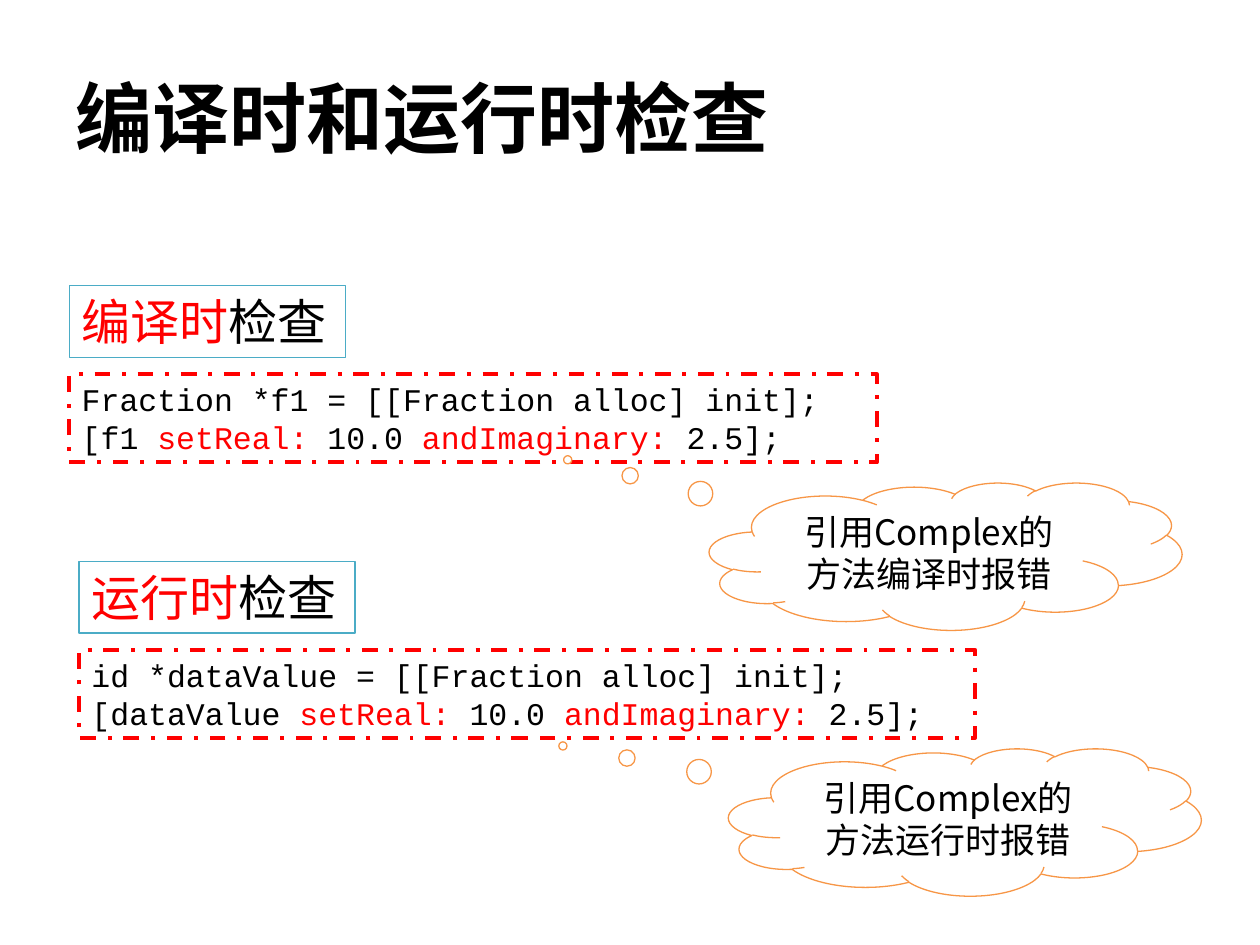
"""Build a slide that contrasts compile-time and run-time checks."""
from lxml.etree import SubElement
from pptx import Presentation
from pptx.dml.color import RGBColor
from pptx.enum.dml import MSO_LINE_DASH_STYLE as Dash
from pptx.enum.shapes import MSO_SHAPE as Shape
from pptx.enum.text import MSO_ANCHOR as Anchor, MSO_AUTO_SIZE as AutoSize, PP_ALIGN as Align
from pptx.oxml.ns import qn
from pptx.util import Pt

COLORS = {"black": "000000", "red": "FF0000", "white": "FFFFFF", "teal": "4BACC6", "orange": "F79646"}
CJK, MONO = "Noto Sans CJK SC", "Courier New"
FRAME = {"word_wrap": True, "margin_left": Pt(7.2), "margin_right": Pt(7.2),
         "margin_top": Pt(3.6), "margin_bottom": Pt(3.6)}
LABEL = {"name": CJK, "size": Pt(28)}
CODE = {"name": MONO, "size": Pt(18)}
CLOUD = {"name": CJK, "size": Pt(20)}
TITLE = {"name": MONO, "size": Pt(44), "bold": True}


def write(shape, lines, font_values, align, frame_values):
    frame = shape.text_frame
    for name, value in {**FRAME, **frame_values}.items():
        setattr(frame, name, value)
    for index, line in enumerate(lines):
        paragraph = frame.add_paragraph() if index else frame.paragraphs[0]
        paragraph.alignment = align
        for text, color in line:
            run = paragraph.add_run()
            run.text = text
            for name, value in font_values.items():
                setattr(run.font, name, value)
            run.font.color.rgb = RGBColor.from_string(COLORS[color])
            SubElement(run.font._element, qn("a:ea")).set("typeface", CJK)


def add_outlined(kind, box, color, width, filled=True):
    shape = slide.shapes.add_shape(kind, *map(Pt, box))
    shape.shadow.inherit = False
    if filled:
        shape.fill.solid()
        shape.fill.fore_color.rgb = RGBColor.from_string(COLORS["white"])
    else:
        shape.fill.background()
    shape.line.color.rgb = RGBColor.from_string(COLORS[color])
    shape.line.width = Pt(width)
    return shape


presentation = Presentation()
presentation.slide_width, presentation.slide_height = Pt(720), Pt(540)
slide = presentation.slides.add_slide(presentation.slide_layouts[6])

title = slide.shapes.add_textbox(Pt(36), Pt(21.6), Pt(648), Pt(90))
write(title, [[("编译时和运行时检查", "black")]], TITLE, Align.LEFT, {"vertical_anchor": Anchor.MIDDLE})

sections = [
    {"phase": "编译时", "left": 39.6, "top": 163.3, "code_width": 461.5, "type": "Fraction",
     "variable": "f1", "cloud": (405.4, 275.8), "tail": (-0.8, -0.655)},
    {"phase": "运行时", "left": 45.2, "top": 320.7, "code_width": 512, "type": "id",
     "variable": "dataValue", "cloud": (416.4, 427.7), "tail": (-0.851, -0.517)},
]
for section in sections:
    left, top = section["left"], section["top"]
    phase, variable = section["phase"], section["variable"]
    box_format = {"vertical_anchor": Anchor.TOP, "auto_size": AutoSize.SHAPE_TO_FIT_TEXT}

    label = add_outlined(Shape.RECTANGLE, (left, top, 157.7, 41), "teal", 0.75)
    write(label, [[(phase, "red"), ("检查", "black")]], LABEL, Align.LEFT, box_format)

    code = add_outlined(Shape.RECTANGLE, (left, top + 50.6, section["code_width"], 50.4),
                        "red", 2.25, filled=False)
    code.line.dash_style = Dash.DASH_DOT
    code_lines = [
        [(f"{section['type']} *{variable} = [[Fraction alloc] init];", "black")],
        [(f"[{variable} ", "black"), ("setReal:", "red"), (" 10.0 ", "black"),
         ("andImaginary:", "red"), (" 2.5];", "black")],
    ]
    write(code, code_lines, CODE, Align.LEFT, box_format)

    cloud = add_outlined(Shape.CLOUD_CALLOUT, (*section["cloud"], 270, 84.2), "orange", 0.75)
    for index, offset in enumerate(section["tail"]):
        cloud.adjustments[index] = offset
    write(cloud, [[(f"引用Complex的方法{phase}报错", "black")]], CLOUD, Align.CENTER,
          {"vertical_anchor": Anchor.MIDDLE})

presentation.save("out.pptx")
